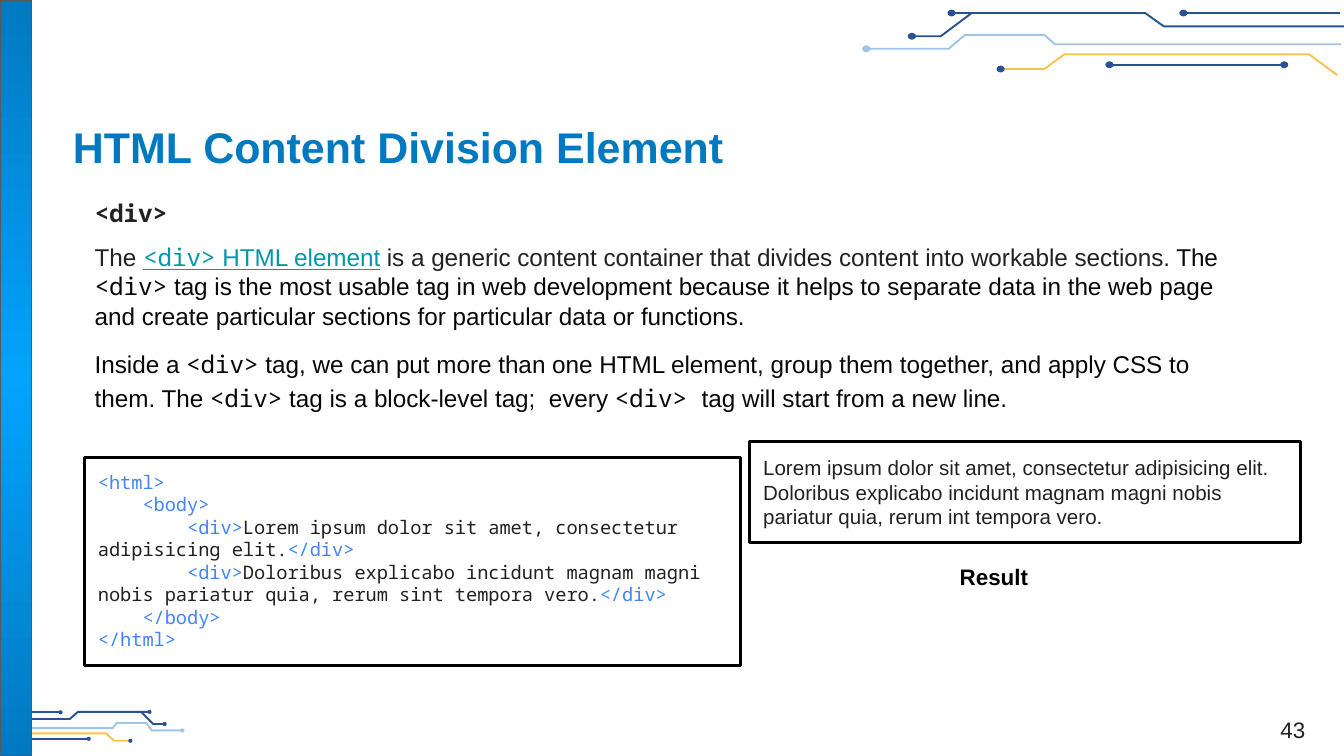
from lxml import etree
from pptx import Presentation, util as u
from pptx.dml.color import RGBColor
from pptx.enum import shapes, text
from pptx.oxml import parse_xml
from pptx.oxml.ns import qn

COLUMNS, ROWS = 100, 56.25  # square grid cells, a tenth of an inch each
SANS, MONO = "Arial", "Noto Sans Mono"
COLORS = {
    "navy": "285293", "sky": "9FC5E8", "gold": "FEC14F", "blue": "0079C0",
    "bright": "03A3FF", "border": "595959", "black": "000000", "ink": "222222",
    "dark": "212121", "body": "080808", "link": "0097A7", "tag": "4285F4",
}

# Traces: colour and corner points; dots: colour and centre (columns, rows)
TOP_TRACES = [
    ("navy", [(100, 1.97), (86.6, 1.97), (85.2, 0.97), (70.8, 0.97)]),
    ("navy", [(72.3, 0.97), (70, 2.7), (67.8, 2.7)]),
    ("navy", [(99.7, 0.97), (88, 0.97)]),
    ("gold", [(99.5, 5.6), (97.4, 4.04), (79.2, 4.04), (77.7, 5.14), (74.4, 5.14)]),
    ("navy", [(95.6, 4.82), (82.5, 4.82)]),
    ("sky", [(99.8, 3.3), (78.5, 3.3), (77.7, 2.6), (71.8, 2.6), (70.6, 3.63), (64.4, 3.63)]),
]
TOP_DOTS = [("sky", 64.45, 3.63), ("navy", 70.8, 0.97), ("navy", 67.85, 2.7),
            ("navy", 88.05, 0.97), ("navy", 74.45, 5.14), ("navy", 95.55, 4.82),
            ("navy", 82.55, 4.82)]
BOTTOM_TRACES = [
    ("navy", [(0.3, 53.5), (5.2, 53.5), (5.8, 52.97), (11.1, 52.97)]),
    ("navy", [(10.5, 52.97), (11.4, 53.87), (12.3, 53.87)]),
    ("navy", [(0, 53), (4.5, 53)]),
    ("gold", [(0.1, 55.4), (0.9, 54.57), (7.9, 54.57), (8.5, 55.12), (9.7, 55.12)]),
    ("navy", [(1.6, 54.97), (6.6, 54.97)]),
    ("sky", [(0.6, 54.17), (8.4, 54.17), (8.7, 53.8), (10.9, 53.8), (11.3, 54.35), (13.6, 54.35)]),
]
BOTTOM_DOTS = [("sky", 13.57, 54.35), ("navy", 11.12, 52.97), ("navy", 12.25, 53.87),
               ("navy", 4.5, 53), ("navy", 9.7, 55.12), ("navy", 6.6, 54.97)]


def cells(count):
    return u.Inches(count / 10)


def color(name):
    return RGBColor.from_string(COLORS[name])


def set_line(shape, name, width):
    shape.line.color.rgb = color(name)
    shape.line.width = u.Pt(width)


def add_trace(slide, name, points):
    corners = [(cells(x), cells(y)) for x, y in points]
    if len(corners) == 2:
        shape = slide.shapes.add_connector(shapes.MSO_CONNECTOR.STRAIGHT, *corners[0], *corners[1])
        etree.SubElement(shape._element.spPr, qn("a:effectLst"))
    else:
        builder = slide.shapes.build_freeform(*corners[0], scale=1.0)
        builder.add_line_segments(corners[1:], close=False)
        shape = builder.convert_to_shape()
        shape.fill.background()
        shape.shadow.inherit = False
    set_line(shape, name, 1.03)


def add_dot(slide, name, x, y, width, height):
    dot = slide.shapes.add_shape(
        shapes.MSO_SHAPE.OVAL, cells(x - width / 2), cells(y - height / 2),
        cells(width), cells(height))
    dot.shadow.inherit = False
    dot.fill.solid()
    dot.fill.fore_color.rgb = color(name)
    set_line(dot, name, 0.75)


def add_circuit(slide, traces, dots, dot_size):
    for name, points in traces:
        add_trace(slide, name, points)
    for name, x, y in dots:
        add_dot(slide, name, x, y, *dot_size)


def add_side_bar(slide):
    bar = slide.shapes.add_shape(shapes.MSO_SHAPE.RECTANGLE, 0, 0, cells(2.35), cells(ROWS))
    bar.shadow.inherit = False
    set_line(bar, "border", 0.75)
    # Radial gradient, bright in the middle
    gradient = parse_xml(
        '<a:gradFill xmlns:a="http://schemas.openxmlformats.org/drawingml/2006/main"><a:gsLst>'
        f'<a:gs pos="0"><a:srgbClr val="{COLORS["bright"]}"/></a:gs>'
        f'<a:gs pos="100000"><a:srgbClr val="{COLORS["blue"]}"/></a:gs></a:gsLst>'
        '<a:path path="circle"><a:fillToRect l="50000" t="50000" r="50000" b="50000"/></a:path>'
        '</a:gradFill>')
    bar._element.spPr.find(qn("a:prstGeom")).addnext(gradient)


def add_text(slide, area, paragraphs, size, inset=(1, 1), anchor="TOP", align="LEFT",
             bold=False, framed=False):
    """Each paragraph is a list of (words, font, colour) runs."""
    box = [cells(value) for value in area]
    if framed:
        shape = slide.shapes.add_shape(shapes.MSO_SHAPE.RECTANGLE, *box)
        shape.shadow.inherit = False
        shape.fill.background()
        set_line(shape, "black", 1.5)
    else:
        shape = slide.shapes.add_textbox(*box)
    frame = shape.text_frame
    frame.word_wrap = True
    frame.vertical_anchor = text.MSO_ANCHOR[anchor]
    frame.margin_left = frame.margin_right = cells(inset[0])
    frame.margin_top = frame.margin_bottom = cells(inset[1])
    for index, runs in enumerate(paragraphs):
        paragraph = frame.add_paragraph() if index else frame.paragraphs[0]
        paragraph.alignment = text.PP_ALIGN[align]
        for words, font, name in runs:
            for number, line in enumerate(words.split("\n")):
                if number:
                    paragraph.add_line_break()
                run = paragraph.add_run()
                run.text = line
                run.font.name = font
                run.font.size = u.Pt(size)
                run.font.bold = bold
                run.font.color.rgb = color(name)
    return frame


def add_description(slide):
    div = ("<div>", MONO, "body")
    frame = add_text(slide, (6.33, 14.05, 87.4, 18.3), [
        [("<div>", MONO, "ink")],
        [("The ", SANS, "ink"), ("<div>", MONO, "link"), (" HTML element", SANS, "link"),
         (" ", SANS, "dark"),
         ("is a generic content container that divides content into workable sections. ", SANS, "ink"),
         ("The ", SANS, "body"), div,
         (" tag is the most usable tag in web development because it helps to separate data in "
          "the web page and create particular sections for particular data or functions.", SANS, "body")],
        [("Inside a ", SANS, "body"), div,
         (" tag, we can put more than one HTML element, group them together, and apply CSS to "
          "them. The ", SANS, "body"), div,
         (" tag is a block-level tag;  every ", SANS, "body"), ("<div> ", MONO, "body"),
         ("tag will start from a new line.", SANS, "body")],
    ], 13, inset=(0.72, 0.72))
    heading, definition, usage = frame.paragraphs
    heading.runs[0].font.bold = True
    for run in definition.runs[1:3]:
        run.font.underline = True
    for paragraph in (definition, usage):
        paragraph.space_before = u.Pt(8)
    usage.line_spacing = 1.15


def add_code(slide):
    def tag(words):
        return (words, MONO, "tag")

    def division(words):
        return [tag("        <div>"), (words, MONO, "dark"), tag("</div>")]

    add_text(slide, (6.3, 34.03, 48.8, 15.5), [
        [tag("<html>")],
        [tag("    <body>")],
        division("Lorem ipsum dolor sit amet, consectetur adipisicing elit."),
        division("Doloribus explicabo incidunt magnam magni nobis pariatur quia, rerum sint tempora vero."),
        [tag("    </body>")],
        [tag("</html>")],
    ], 10, framed=True)


def add_result(slide):
    add_text(slide, (55.8, 32.85, 41, 7.55), [[(
        "Lorem ipsum dolor sit amet, consectetur adipisicing elit.\n"
        "Doloribus explicabo incidunt magnam magni nobis pariatur quia, rerum int tempora vero.",
        SANS, "dark")]], 11, framed=True)
    add_text(slide, (54.2, 40.9, 39.5, 4), [[("Result", SANS, "black")]], 12,
             align="CENTER", bold=True)


def main():
    presentation = Presentation()
    presentation.slide_width, presentation.slide_height = cells(COLUMNS), cells(ROWS)
    slide = presentation.slides.add_slide(presentation.slide_layouts[6])

    # Decoration
    add_circuit(slide, BOTTOM_TRACES, BOTTOM_DOTS, (0.2, 0.2))
    add_circuit(slide, TOP_TRACES, TOP_DOTS, (0.5, 0.4))
    add_side_bar(slide)

    # Content
    add_text(slide, (4.7, 8, 88.8, 5.8), [[("HTML Content Division Element", SANS, "blue")]],
             23, inset=(0.72, 0.72), anchor="MIDDLE", bold=True)
    add_description(slide)
    add_code(slide)
    add_result(slide)

    # Slide number
    add_text(slide, (93, 51.25, 6.4, 4.4), [[("43", SANS, "ink")]], 12,
             inset=(0.72, 0.36), anchor="BOTTOM", align="CENTER")
    presentation.save("out.pptx")


if __name__ == "__main__":
    main()
